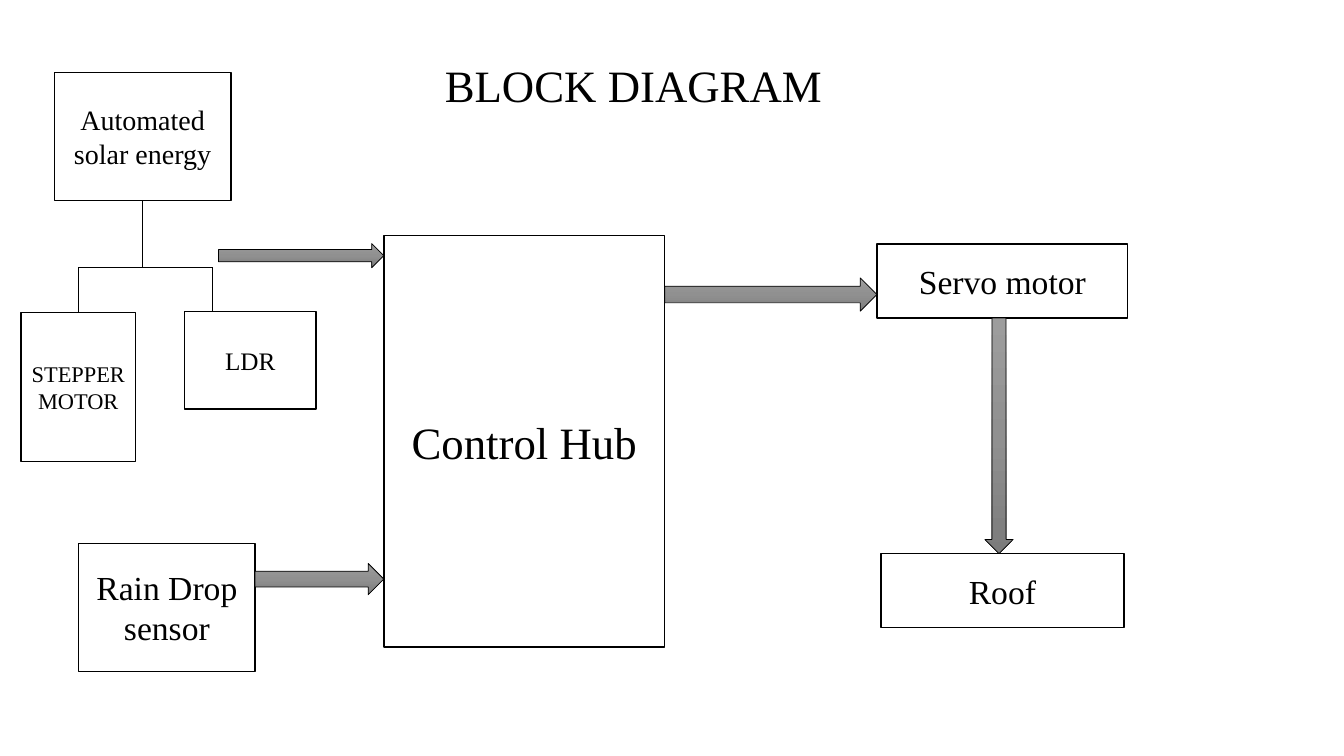
from collections import namedtuple
from copy import deepcopy
from dataclasses import dataclass

from pptx import Presentation
from pptx import util as u
from pptx.dml.color import RGBColor
from pptx.enum import shapes, text
from pptx.oxml import ns, xmlchemy

Box = namedtuple("Box", "left top width height")
Preset = shapes.MSO_SHAPE


@dataclass(frozen=True)
class Theme:
    font: str = "Times New Roman"
    ink: RGBColor = RGBColor(0, 0, 0)
    paper: RGBColor = RGBColor(255, 255, 255)
    arrow_stops: tuple = ((0, "9D9D9D"), (0.5, "909090"), (1, "7C7C7C"))
    large: int = 32
    medium: int = 24
    source: int = 20
    sensor: int = 18
    small: int = 16
    outline: float = 1
    thin: float = 0.5


THEME = Theme()


def apply(target, values):
    for name, value in values.items():
        setattr(target, name, value)


def inside(box, left, top, width, height):
    return Box(box.left + left, box.top + top, width, height)


def points(values):
    return [u.Pt(value) for value in values]


def write(para, words, size):
    span = para.add_run()
    span.text = words
    apply(span.font, {"name": THEME.font, "size": u.Pt(size)})
    span.font.color.rgb = THEME.ink


def outline(line, width):
    line.color.rgb = THEME.ink
    line.width = u.Pt(width)


def add_block(page, box, words, size, preset=Preset.RECTANGLE):
    block = page.shapes.add_shape(preset, *points(box))
    block.shadow.inherit = False
    block.fill.solid()
    block.fill.fore_color.rgb = THEME.paper
    outline(block.line, THEME.outline)
    apply(block.text_frame, {
        "word_wrap": True,
        "vertical_anchor": text.MSO_ANCHOR.MIDDLE,
    })
    para = block.text_frame.paragraphs[0]
    para.alignment = text.PP_ALIGN.CENTER
    write(para, words, size)
    return block


def add_arrow(page, box, preset=Preset.RIGHT_ARROW):
    arrow = page.shapes.add_shape(preset, *points(box))
    arrow.shadow.inherit = False
    arrow.fill.gradient()
    arrow.fill.gradient_angle = 270
    stop_list = arrow.element.spPr.find(ns.qn("a:gradFill")).find(ns.qn("a:gsLst"))
    stop_list.append(deepcopy(stop_list[-1]))
    for stop, (position, color) in zip(arrow.fill.gradient_stops, THEME.arrow_stops):
        stop.position = position
        stop.color.rgb = RGBColor.from_string(color)
    outline(arrow.line, THEME.thin)


def add_line(page, start, end):
    line = page.shapes.add_connector(
        shapes.MSO_CONNECTOR.STRAIGHT, *points((*start, *end)))
    outline(line.line, THEME.thin)
    line.element.spPr.append(xmlchemy.OxmlElement("a:effectLst"))
    return line


def build_title(page, box):
    title = page.shapes.title
    apply(title, dict(zip(box._fields, points(box))))
    apply(title.text_frame, {
        "word_wrap": True,
        "auto_size": text.MSO_AUTO_SIZE.NONE,
        "vertical_anchor": text.MSO_ANCHOR.BOTTOM,
        "margin_left": u.Pt(122.6),
    })
    para = title.text_frame.paragraphs[0]
    apply(para, {"alignment": text.PP_ALIGN.LEFT, "line_spacing": 0.9})
    write(para, "BLOCK DIAGRAM", THEME.large)


def build_solar_branch(page, box):
    source = add_block(page, inside(box, 23.8, 0, 126, 91.5),
                       "Automated solar energy", THEME.source,
                       Preset.FLOWCHART_PROCESS)
    stepper = add_block(page, inside(box, 0, 171.4, 81.6, 106.6),
                        "STEPPER MOTOR", THEME.small)
    add_block(page, inside(box, 116.7, 170.7, 93.8, 69.8), "LDR", THEME.sensor)
    stem_x = box.left + 86.8
    stepper_x, sensor_x = box.left + 40.8, box.left + 136.8
    fork_y, leaf_y = box.top + 139, box.top + 171
    add_line(page, (stem_x, box.top + 91.5), (stem_x, fork_y)).begin_connect(source, 2)
    add_line(page, (stepper_x, fork_y), (sensor_x, fork_y))
    add_line(page, (sensor_x, fork_y), (sensor_x, leaf_y))
    add_line(page, (stepper_x, fork_y), (stepper_x, leaf_y)).end_connect(stepper, 0)
    add_arrow(page, inside(box, 141, 122.2, box.width - 141, 17.3))


def build_rain_branch(page, box):
    add_block(page, inside(box, 0, 0, 126, box.height),
              "Rain Drop sensor", THEME.medium)
    add_arrow(page, inside(box, 126, 14.4, box.width - 126, 22.4))


def build_controller(page, box):
    add_block(page, box, "Control Hub", THEME.large)


def build_roof_drive(page, box):
    motor_height = 52.8
    motor_left = box.width - 179.2
    middle = motor_left + 87.2
    add_arrow(page, inside(box, 0, 24.2, motor_left, 23.8))
    add_block(page, inside(box, motor_left, 0, 179.2, motor_height),
              "Servo motor", THEME.medium)
    add_arrow(page, inside(box, middle - 10.1, motor_height, 20.2,
                           box.height - 2 * motor_height), Preset.DOWN_ARROW)
    add_block(page, inside(box, motor_left + 2.9, box.height - motor_height,
                           173.5, motor_height), "Roof", THEME.medium)


def main():
    deck = Presentation()
    apply(deck, {"slide_width": u.Pt(960), "slide_height": u.Pt(540)})
    page = deck.slides.add_slide(deck.slide_layouts[5])
    build_title(page, Box(195.1, 0, 528.5, 83.5))
    build_solar_branch(page, Box(15.1, 51.8, 259.1, 278))
    build_rain_branch(page, Box(56.2, 388.1, 218, 91.5))
    build_controller(page, Box(274.2, 168.4, 200.6, 293.8))
    build_roof_drive(page, Box(474.8, 174.3, 330.8, 273.9))
    deck.save("out.pptx")


if __name__ == "__main__":
    main()
